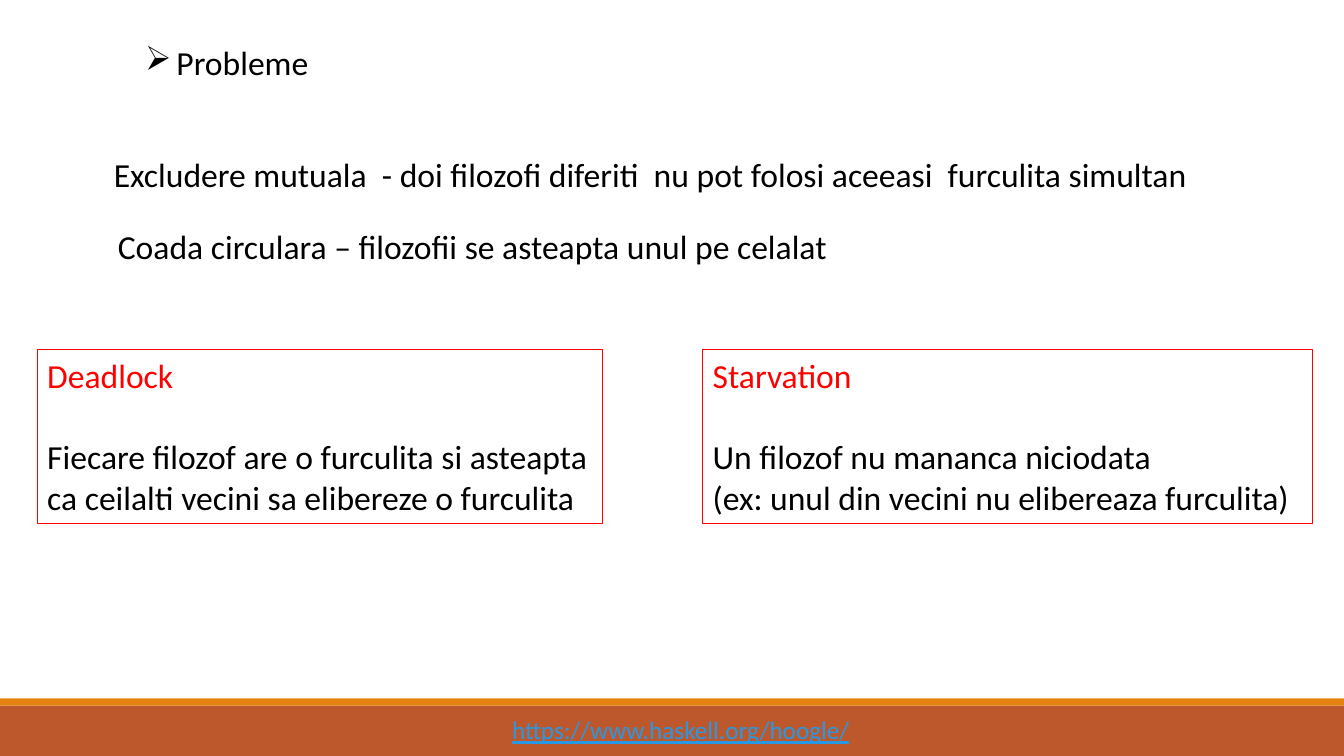
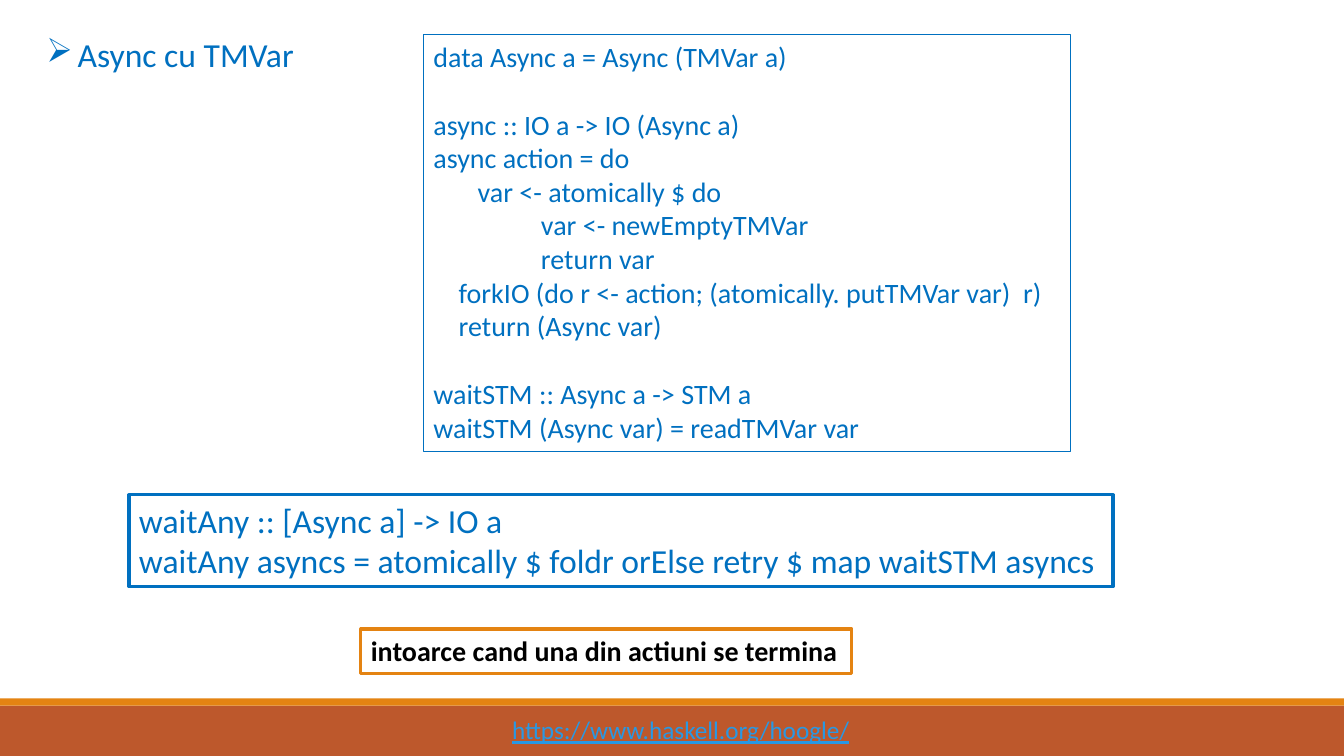
"""Build two slides on dining philosophers and Async with TMVar."""
from lxml import etree
from pptx import Presentation
from pptx import util as u
from pptx.dml.color import RGBColor
from pptx.enum import shapes, text
from pptx.oxml.ns import qn

FONT = "Calibri"
BLACK, RED, BLUE = "000000", "FF0000", "0070C0"
ORANGE, RUST, LINK = "E48312", "BD582C", "2998E3"
WIDE, HIGH = 13.33, 7.5
LEAD = 1.22

BANDS = [((0, 7, WIDE, 0.5), RUST), ((0, 6.93, WIDE, 0.07), ORANGE)]
URL = "https://www.haskell.org/hoogle/"

CODE = [
    (BLUE, ["data Async a = Async (TMVar a)"]),
    (BLUE, [
        "async :: IO a -> IO (Async a)",
        "async action = do",
        "       var <- atomically $ do",
        "                 var <- newEmptyTMVar",
        "                 return var",
        "    forkIO (do r <- action; (atomically. putTMVar var)  r)",
        "    return (Async var)",
    ]),
    (BLUE, [
        "waitSTM :: Async a -> STM a",
        "waitSTM (Async var) = readTMVar var",
    ]),
]
WAIT = [(BLUE, [
    "waitAny :: [Async a] -> IO a",
    "waitAny asyncs = atomically $ foldr orElse retry $ map waitSTM asyncs",
])]
DEAD = [
    (RED, ["Deadlock"]),
    (BLACK, ["Fiecare filozof are o furculita si asteapta",
             "ca ceilalti vecini sa elibereze o furculita"]),
]
STARVE = [
    (RED, ["Starvation"]),
    (BLACK, ["Un filozof nu mananca niciodata",
             "(ex: unul din vecini nu elibereaza furculita)"]),
]
MUTEX = [(BLACK, ["Excludere mutuala  - doi filozofi diferiti  nu pot folosi "
                  "aceeasi  furculita simultan"])]
QUEUE = [(BLACK, ["Coada circulara – filozofii se asteapta unul pe celalat"])]
NOTE = [(BLACK, ["intoarce cand una din actiuni se termina"])]

SLIDES = [
    {"title": ("Probleme", BLACK, (1.34, 0.37, 1.84, 0.5)),
     "boxes": [
         {"at": (1.03, 1.48, 10.95, 0.5), "blocks": MUTEX},
         {"at": (1.07, 2.19, 7.38, 0.5), "blocks": QUEUE},
         {"at": (0.37, 3.47, 5.61, 1.72), "blocks": DEAD, "edge": (RED, 0.75)},
         {"at": (6.97, 3.47, 6.05, 1.72), "blocks": STARVE, "edge": (RED, 0.75)},
     ]},
    {"title": ("Async cu TMVar", BLUE, (0.36, 0.29, 2.68, 0.5)),
     "boxes": [
         {"at": (4.2, 0.34, 6.42, 4.14), "blocks": CODE, "size": 20,
          "edge": (BLUE, 1), "wrap": True},
         {"at": (1.28, 4.91, 9.76, 0.91), "blocks": WAIT, "edge": (BLUE, 2.25)},
         {"at": (3.58, 6.24, 4.87, 0.44), "blocks": NOTE, "size": 20,
          "edge": (ORANGE, 2.25), "bold": True},
     ]},
]


def rgb(code):
    """Turn a hex string into a colour."""
    return RGBColor.from_string(code)


def place(at):
    """Turn a box in inches into lengths."""
    return [u.Inches(n) for n in at]


def write(para, words, size, color, bold=False, line=False):
    """Add one styled run to a paragraph."""
    run = para.add_run()
    run.text = words
    font = run.font
    font.name, font.size, font.bold = FONT, u.Pt(size), bold
    font.underline = line
    font.color.rgb = rgb(color)


def add_box(slide, at, blocks, size=24, edge=None, wrap=False, bold=False,
            line=False):
    """Add a text box whose blocks stand one line apart."""
    box = slide.shapes.add_textbox(*place(at))
    frame = box.text_frame
    frame.word_wrap = wrap
    if edge:
        box.line.color.rgb = rgb(edge[0])
        box.line.width = u.Pt(edge[1])
    para = None
    for color, rows in blocks:
        for i, row in enumerate(rows):
            gap = para is not None and i == 0
            para = frame.paragraphs[0] if para is None else frame.add_paragraph()
            if gap:
                para.space_before = u.Pt(round(size * LEAD, 1))
            write(para, row, size, color, bold, line)
    return box


def add_title(slide, words, color, at):
    """Fill the title placeholder with an arrow bullet."""
    title = slide.shapes.title
    title.left, title.top, title.width, title.height = place(at)
    frame = title.text_frame
    frame.word_wrap = False
    frame.auto_size = text.MSO_AUTO_SIZE.NONE
    frame.vertical_anchor = text.MSO_ANCHOR.TOP
    para = frame.paragraphs[0]
    props = para._p.get_or_add_pPr()
    dent = u.Inches(0.31)
    props.set("marL", str(dent))
    props.set("indent", str(-dent))
    etree.SubElement(props, qn("a:buChar")).set("char", "➢")
    para.alignment = text.PP_ALIGN.LEFT
    write(para, words, 24, color)


def add_foot(slide, layout):
    """Draw the footer and move it to the shared layout."""
    parts = []
    for at, color in BANDS:
        band = slide.shapes.add_shape(shapes.MSO_SHAPE.RECTANGLE, *place(at))
        band.shadow.inherit = False
        band.fill.solid()
        band.fill.fore_color.rgb = rgb(color)
        band.line.fill.background()
        parts.append(band)
    parts.append(add_box(slide, (4.98, 7.04, 3.59, 0.4), [(LINK, [URL])],
                         size=18, line=True))
    for part in parts:
        layout.shapes.element.append(part.element)


def main():
    """Build and save the slides."""
    deck = Presentation()
    deck.slide_width, deck.slide_height = u.Inches(WIDE), u.Inches(HIGH)
    layout = deck.slide_layouts.get_by_name("Title Only")
    for i, page in enumerate(SLIDES):
        slide = deck.slides.add_slide(layout)
        if i == 0:
            add_foot(slide, layout)
        add_title(slide, *page["title"])
        for box in page["boxes"]:
            add_box(slide, **box)
    deck.save("out.pptx")


if __name__ == "__main__":
    main()
